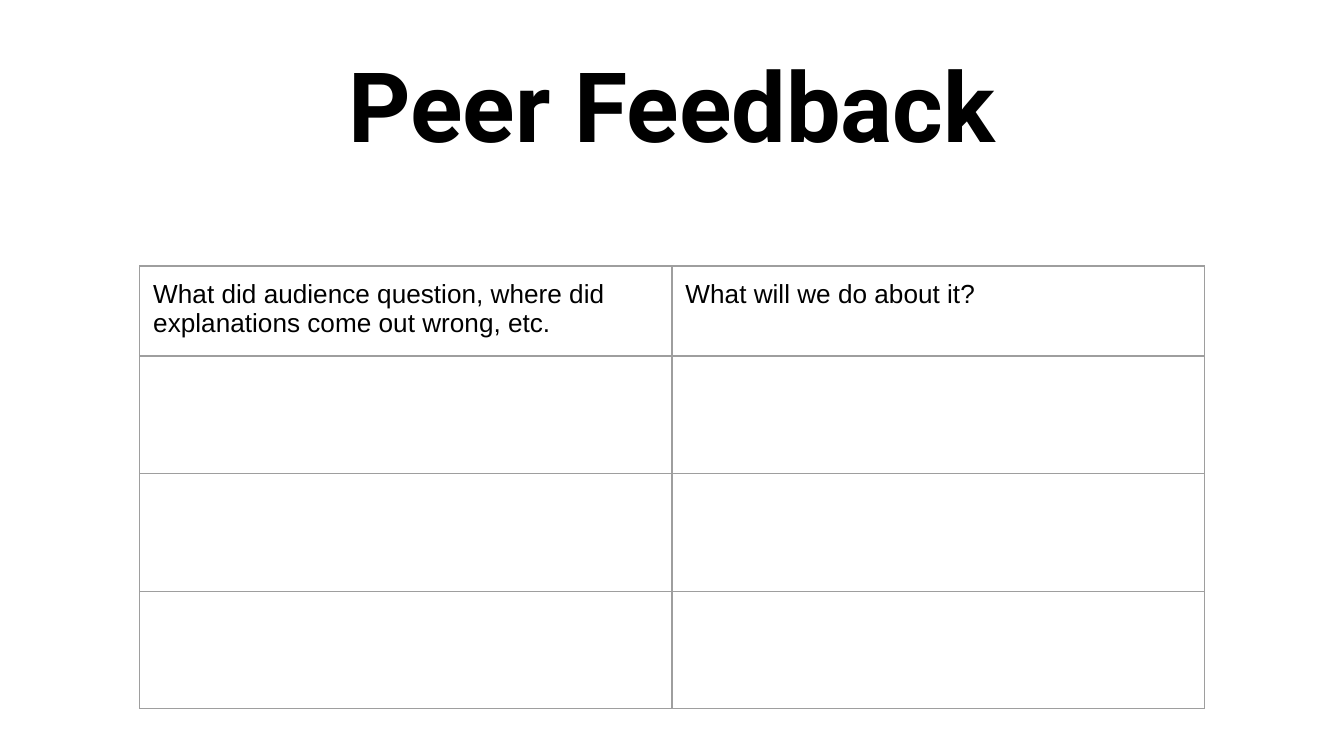
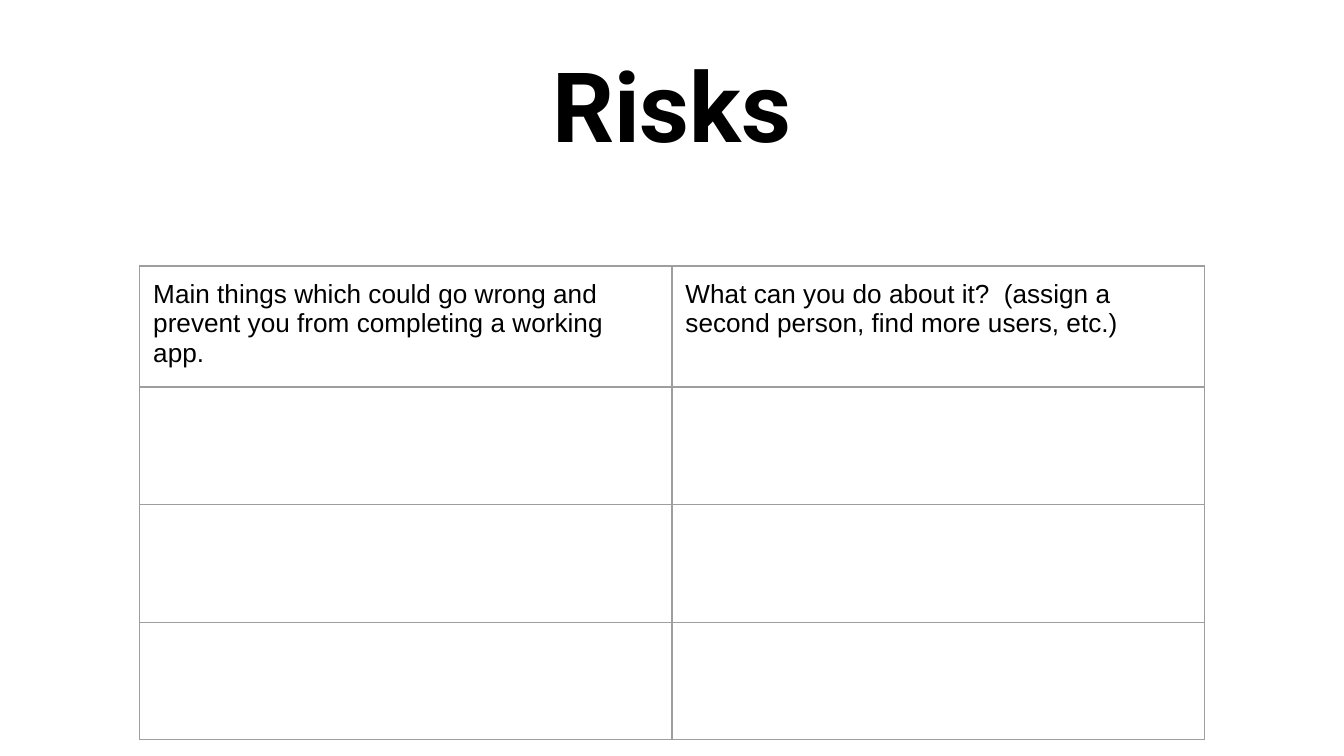
from lxml import etree
from pptx import Presentation
from pptx.dml.color import RGBColor
from pptx.enum.text import MSO_ANCHOR, MSO_AUTO_SIZE, PP_ALIGN
from pptx.oxml.ns import qn
from pptx.util import Inches, Pt

MIDDLE = MSO_ANCHOR.MIDDLE
TOP = MSO_ANCHOR.TOP
NO_FIT = MSO_AUTO_SIZE.NONE
CENTER = PP_ALIGN.CENTER
TITLE_ONLY = 5

COLORS = {"background": "FFFFFF", "text": "000000", "grid": "9E9E9E"}
TITLE_FONT = {"name": "Roboto", "size": Pt(52), "bold": True}
CELL_FONT = {"name": "Arial", "size": Pt(14), "bold": False}
SIDES = ("left", "right", "top", "bottom")
BORDER_TAGS = ("a:lnL", "a:lnR", "a:lnT", "a:lnB")
BORDER_WIDTH = Pt(0.75)
COLUMN_WIDTH = 3.96
ANSWER_ROWS = 3
ANSWER_HEIGHT = 7 / 8

WORKSHEETS = [
    {
        "title": "Peer Feedback",
        "headings": [
            "What did audience question, where did explanations come out wrong, etc.",
            "What will we do about it?",
        ],
        "heading_height": 0.67,
    },
    {
        "title": "Risks",
        "headings": [
            "Main things which could go wrong and prevent you from completing a working app.",
            "What can you do about it?  (assign a second person, find more users, etc.)",
        ],
        "heading_height": 0.9,
    },
]


def color(name):
    return RGBColor.from_string(COLORS[name])


def set_values(target, values):
    for name, value in values.items():
        setattr(target, name, value)


def set_margins(target, inches):
    set_values(target, {f"margin_{side}": Inches(inches) for side in SIDES})


def format_font(font, values):
    set_values(font, values)
    font.color.rgb = color("text")


def add_title(page, text):
    box = page.shapes.title
    set_values(box, {
        "left": Inches(0.73), "top": Inches(0.15),
        "width": Inches(8.54), "height": Inches(1.25),
    })
    frame = box.text_frame
    set_values(frame, {"text": text, "vertical_anchor": MIDDLE,
                       "word_wrap": True, "auto_size": NO_FIT})
    set_margins(frame, 0.04)
    para = frame.paragraphs[0]
    para.alignment = CENTER
    format_font(para.runs[0].font, TITLE_FONT)


def add_borders(cell):
    properties = cell._tc.get_or_add_tcPr()
    for index, tag in enumerate(BORDER_TAGS):
        line = etree.Element(qn(tag), w=str(BORDER_WIDTH))
        fill = etree.SubElement(line, qn("a:solidFill"))
        etree.SubElement(fill, qn("a:srgbClr"), val=COLORS["grid"])
        properties.insert(index, line)


def format_cell(cell):
    cell.fill.background()
    cell.vertical_anchor = TOP
    set_margins(cell, 0.1)
    para = cell.text_frame.paragraphs[0]
    for target in (para, *para.runs):
        format_font(target.font, CELL_FONT)
    add_borders(cell)


def add_worksheet_table(page, headings, heading_height):
    heights = [heading_height] + [ANSWER_HEIGHT] * ANSWER_ROWS
    frame = page.shapes.add_table(
        len(heights), len(headings), Inches(1.04), Inches(1.98),
        Inches(COLUMN_WIDTH * len(headings)), Inches(sum(heights)))
    table = frame.table
    set_values(table, {"first_row": False, "horz_banding": False})
    for column in table.columns:
        column.width = Inches(COLUMN_WIDTH)
    for row, height in zip(table.rows, heights):
        row.height = Inches(height)
    for index, heading in enumerate(headings):
        table.cell(0, index).text = heading
    for cell in table.iter_cells():
        format_cell(cell)


def add_worksheet(deck, title, headings, heading_height):
    page = deck.slides.add_slide(deck.slide_layouts[TITLE_ONLY])
    page.background.fill.solid()
    page.background.fill.fore_color.rgb = color("background")
    add_title(page, title)
    add_worksheet_table(page, headings, heading_height)


def main():
    deck = Presentation()
    deck.slide_width = Inches(10)
    deck.slide_height = Inches(10 * 9 / 16)
    for worksheet in WORKSHEETS:
        add_worksheet(deck, **worksheet)
    deck.save("out.pptx")


if __name__ == "__main__":
    main()
